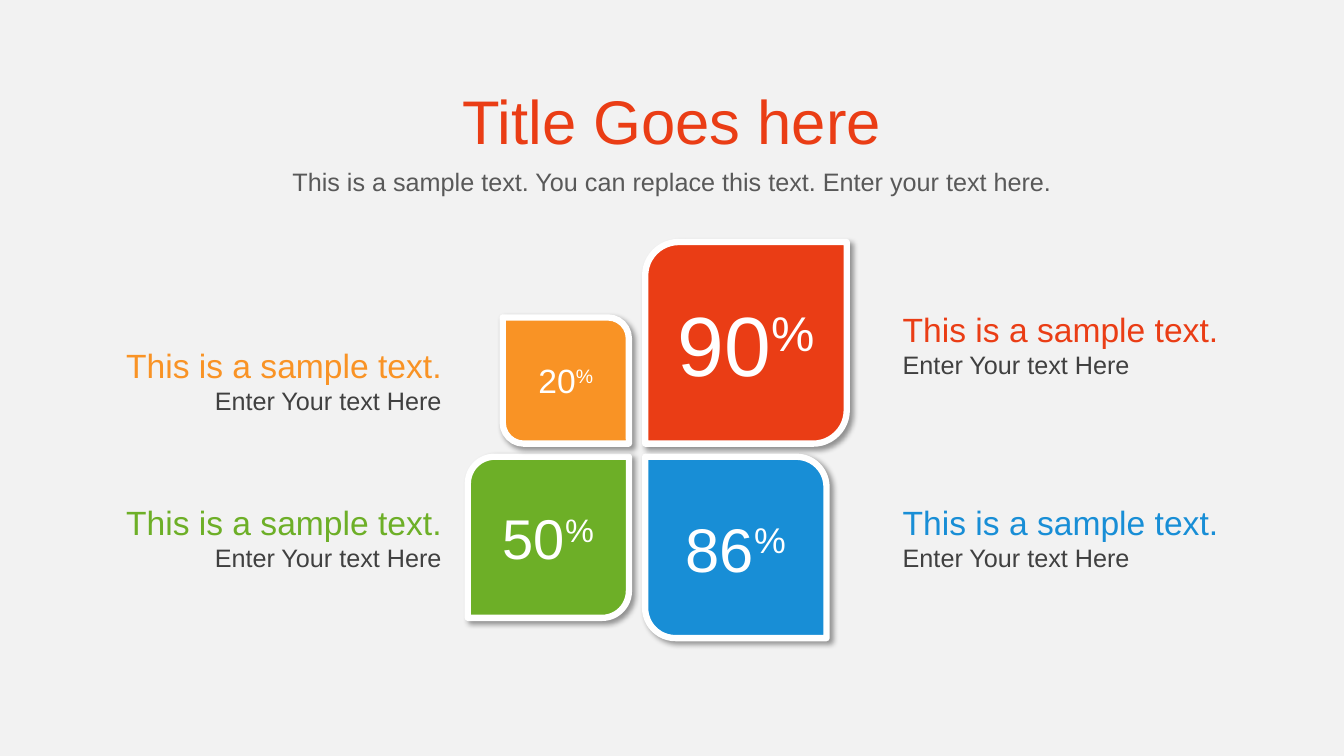
import lxml.etree
import pptx
import pptx.dml.color
import pptx.enum.shapes
import pptx.enum.text
import pptx.oxml.ns
import pptx.util

Cm = pptx.util.Cm
Pt = pptx.util.Pt
RGBColor = pptx.dml.color.RGBColor
Align = pptx.enum.text.PP_ALIGN
qn = pptx.oxml.ns.qn

RED = RGBColor(0xEA, 0x3D, 0x15)
GREEN = RGBColor(0x6D, 0xAF, 0x27)
ORANGE = RGBColor(0xF9, 0x93, 0x25)
BLUE = RGBColor(0x18, 0x8E, 0xD6)
WHITE = RGBColor(0xFF, 0xFF, 0xFF)
BACKGROUND = RGBColor(0xF2, 0xF2, 0xF2)
DARK = RGBColor(0x40, 0x40, 0x40)
GRAY = RGBColor(0x59, 0x59, 0x59)

PAGE_WIDTH, PAGE_HEIGHT = 33.87, 19.05
LEFT_EDGE, RIGHT_EDGE = 15.85, 16.26
UPPER_EDGE, LOWER_EDGE = 11.18, 11.51
LABEL_WIDTH, LABEL_HEIGHT = 8.81, 2.06
LEFT_LABEL, RIGHT_LABEL = 2.57, 22.5


class Painter:
    font = "Arial"
    corner = 0.1667

    def __init__(self, page):
        self.page = page
        page.background.fill.solid()
        page.background.fill.fore_color.rgb = BACKGROUND

    def span(self, para, text, size, color, baseline=0):
        span = para.add_run()
        span.text = text
        span.font.name = self.font
        span.font.size = Pt(size)
        span.font.color.rgb = color
        if baseline:
            span._r.get_or_add_rPr().set("baseline", str(baseline * 1000))

    def text(self, left, top, width, height, align, spans):
        box = self.page.shapes.add_textbox(Cm(left), Cm(top), Cm(width), Cm(height))
        box.text_frame.word_wrap = True
        box.text_frame.auto_size = pptx.enum.text.MSO_AUTO_SIZE.SHAPE_TO_FIT_TEXT
        para = box.text_frame.paragraphs[0]
        para.alignment = align
        for text, size, color in spans:
            self.span(para, text, size, color)

    def heading(self, top, width, height, text, size, color):
        left = (PAGE_WIDTH - width) / 2
        self.text(left, top, width, height, Align.CENTER, [(text, size, color)])

    def label(self, on_left, top, color):
        left, align = (LEFT_LABEL, Align.RIGHT) if on_left else (RIGHT_LABEL, Align.LEFT)
        spans = [("This is a sample text. ", 24, color), ("Enter Your text Here", 18, DARK)]
        self.text(left, top, LABEL_WIDTH, LABEL_HEIGHT, align, spans)

    def shadow(self, shape):
        shape.shadow.inherit = False
        effects = shape._element.spPr.find(qn("a:effectLst"))
        outer = lxml.etree.SubElement(
            effects, qn("a:outerShdw"), blurRad=str(Pt(4)), dist=str(Pt(3)),
            dir="2700000", algn="tl", rotWithShape="0")
        color = lxml.etree.SubElement(outer, qn("a:srgbClr"), val="000000")
        lxml.etree.SubElement(color, qn("a:alpha"), val="40000")

    def leaf(self, on_left, on_top, side, value, size, color):
        left = LEFT_EDGE - side if on_left else RIGHT_EDGE
        top = UPPER_EDGE - side if on_top else LOWER_EDGE
        leaf = self.page.shapes.add_shape(
            pptx.enum.shapes.MSO_SHAPE.ROUND_2_DIAG_RECTANGLE,
            Cm(left), Cm(top), Cm(side), Cm(side))
        mirrored = on_left == on_top
        leaf.adjustments[0] = 0 if mirrored else self.corner
        leaf.adjustments[1] = self.corner if mirrored else 0
        leaf.fill.solid()
        leaf.fill.fore_color.rgb = color
        leaf.line.color.rgb = WHITE
        leaf.line.width = Pt(4.5)
        self.shadow(leaf)
        leaf.text_frame.word_wrap = True
        leaf.text_frame.vertical_anchor = pptx.enum.text.MSO_ANCHOR.MIDDLE
        para = leaf.text_frame.paragraphs[0]
        para.alignment = Align.CENTER
        self.span(para, value, size, WHITE)
        self.span(para, "%", size, WHITE, baseline=30)


deck = pptx.Presentation()
deck.slide_width, deck.slide_height = Cm(PAGE_WIDTH), Cm(PAGE_HEIGHT)
painter = Painter(deck.slides.add_slide(deck.slide_layouts[6]))

quadrants = [
    (False, True, 5.08, "90", 60, RED, 7.67),
    (True, False, 4.06, "50", 40, GREEN, 12.52),
    (True, True, 3.18, "20", 24, ORANGE, 8.56),
    (False, False, 4.57, "86", 44, BLUE, 12.52),
]
for on_left, on_top, side, value, size, color, label_top in quadrants:
    painter.leaf(on_left, on_top, side, value, size, color)
    painter.label(on_left, label_top, color)

painter.heading(1.96, 11.84, 2.13, "Title Goes here", 44, RED)
painter.heading(
    4.06, 20.6, 1.02,
    "This is a sample text. You can replace this text. Enter your text here.", 18, GRAY)

deck.save("out.pptx")
